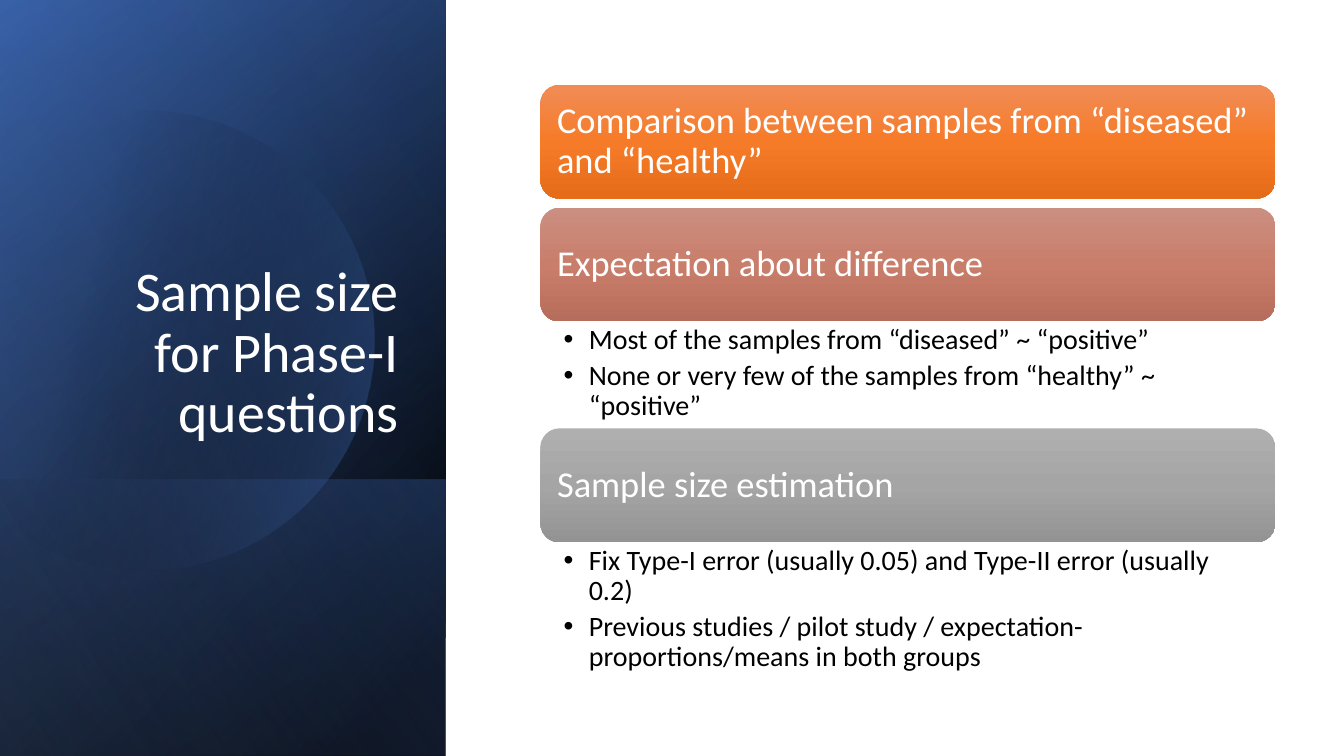
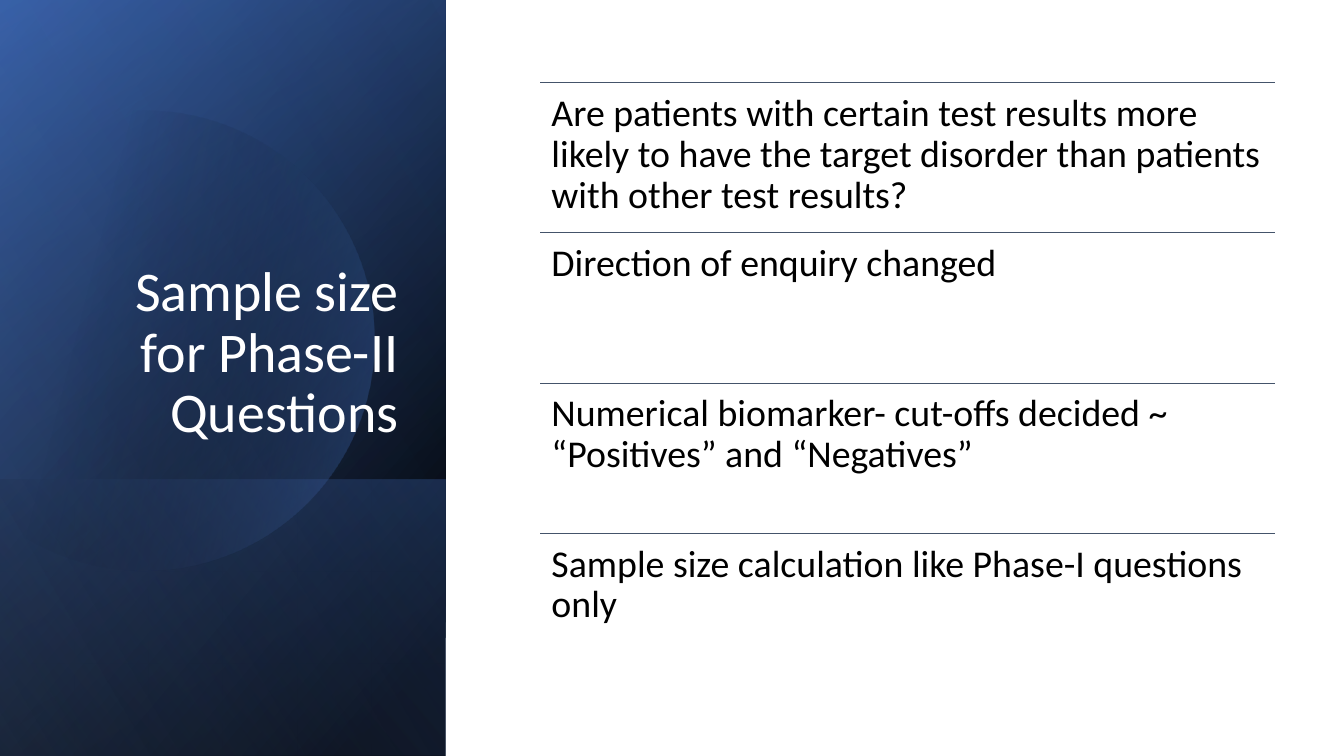
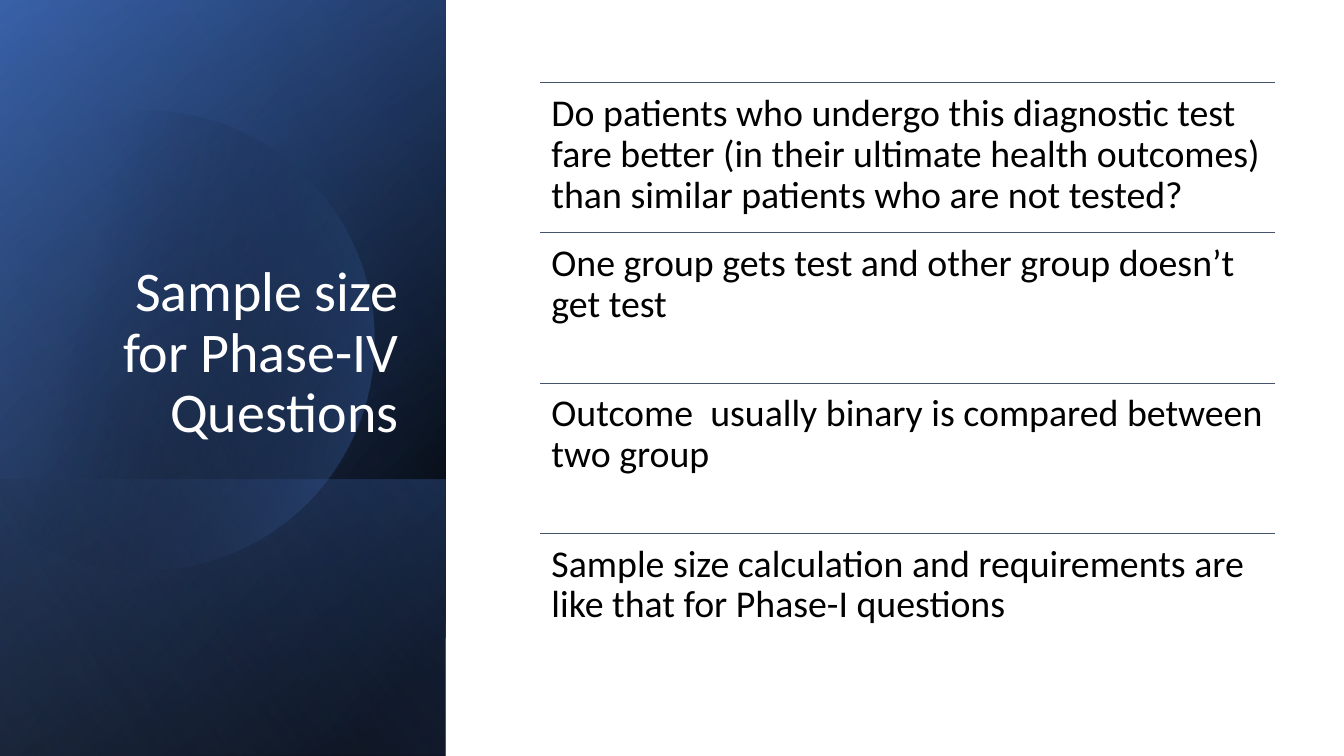
from math import acos, cos, sin

from lxml.etree import SubElement
from pptx import Presentation
from pptx.dml.color import RGBColor
from pptx.enum.shapes import MSO_CONNECTOR, MSO_SHAPE
from pptx.enum.text import MSO_ANCHOR, PP_ALIGN
from pptx.oxml.ns import qn
from pptx.util import Inches, Pt

# Content
TOPICS = [
    ("Comparison between samples from “diseased” and “healthy”", []),
    ("Expectation about difference", [
        "Most of the samples from “diseased” ~ “positive”",
        "None or very few of the samples from “healthy” ~ “positive”"]),
    ("Sample size estimation", [
        "Fix Type-I error (usually 0.05) and Type-II error (usually 0.2)",
        "Previous studies / pilot study / expectation- proportions/means in both groups"]),
]
PHASE_ONE = "Sample size for Phase-I questions"
RULED_SLIDES = [
    ("Sample size for Phase-II Questions", [
        "Are patients with certain test results more likely to have the target disorder "
        "than patients with other test results?",
        "Direction of enquiry changed",
        "Numerical biomarker- cut-offs decided ~ “Positives” and “Negatives”",
        "Sample size calculation like Phase-I questions only"]),
    ("Sample size for Phase-IV Questions", [
        "Do patients who undergo this diagnostic test fare better (in their ultimate "
        "health outcomes) than similar patients who are not tested?",
        "One group gets test and other group doesn’t get test",
        "Outcome  usually binary is compared between two group",
        "Sample size calculation and requirements are like that for Phase-I questions"]),
]

# Colours
BLACK = RGBColor(0x00, 0x00, 0x00)
WHITE = RGBColor(0xFF, 0xFF, 0xFF)
BLUE = RGBColor(0x44, 0x72, 0xC4)
DEEP_BLUE = RGBColor(0x2F, 0x55, 0x97)
PALE_BLUE = RGBColor(0x8F, 0xAA, 0xDC)
SLATE = RGBColor(0x44, 0x54, 0x6A)
BAR_COLOURS = [
    [RGBColor(0xF1, 0x8C, 0x57), RGBColor(0xF6, 0x7B, 0x28), RGBColor(0xE5, 0x6C, 0x19)],
    [RGBColor(0xCB, 0x8F, 0x81), RGBColor(0xC9, 0x7E, 0x6B), RGBColor(0xB7, 0x6D, 0x5B)],
    [RGBColor(0xAF, 0xAF, 0xAF), RGBColor(0xA5, 0xA5, 0xA5), RGBColor(0x93, 0x93, 0x93)],
]

# Layout, in inches
SLIDE_W, SLIDE_H = 13.33, 7.5
PANEL_W = 4.42
COLUMN_X, COLUMN_W = 5.36, 7.29
TITLE_BOX = (0.64, 1.84, 3.41, 2.62)
BAR_TOP, BAR_H, BAR_GAP = 0.84, 1.13, 0.09
BULLET_HEIGHTS = [0, 1.06, 1.38]
RULE_TOP, RULE_STEP = 0.82, 1.49
DISC_X, DISC_Y, DISC_R, DISC_CUT = 1.43, 3.38, 2.28, -0.15
DISC_STEPS = 120

# Panel layers: height up from the slide's foot, angle, stops (position, colour, opacity)
BASE_LAYERS = [
    (SLIDE_H, 50, [(8, BLACK, 100), (100, DEEP_BLUE, 100)]),
    (SLIDE_H, 30, [(0, BLACK, 0), (99, BLUE, 46)]),
    (2.74, 130, [(2, BLUE, 29), (100, BLACK, 30)]),
]
DISC_STOPS = [(29, BLACK, 0), (100, BLUE, 43)]
TOP_LAYER = (SLIDE_H, 120, [(0, BLACK, 0), (99, PALE_BLUE, 11)])

# Text formats: frame, paragraph and font values
MARGINS = ("margin_left", "margin_top", "margin_right", "margin_bottom")
EVEN = dict.fromkeys(MARGINS, Inches(0.11))
BULLET_INSETS = dict(zip(MARGINS, map(Inches, (0.23, 0.04, 0.2, 0.04))))
TITLE = ({"vertical_anchor": MSO_ANCHOR.BOTTOM}, {"alignment": PP_ALIGN.RIGHT}, 40, WHITE)
BAR = ({"vertical_anchor": MSO_ANCHOR.MIDDLE, **EVEN}, {"alignment": PP_ALIGN.LEFT}, 26, WHITE)
BULLETS = (BULLET_INSETS, {"space_after": Pt(4)}, 20, BLACK)
STATEMENT = (EVEN, {}, 27, BLACK)


def apply(target, values):
    for name, value in values.items():
        setattr(target, name, value)


def write(shape, texts, style, bulleted=False):
    frame_values, paragraph_values, size, colour = style
    frame = shape.text_frame
    apply(frame, {"word_wrap": True, **frame_values})
    for i, text in enumerate(texts):
        paragraph = frame.add_paragraph() if i else frame.paragraphs[0]
        apply(paragraph, {"text": text, "line_spacing": 0.9, **paragraph_values})
        apply(paragraph.runs[0].font, {"name": "Calibri", "size": Pt(size)})
        paragraph.runs[0].font.color.rgb = colour
        if bulleted:
            props = paragraph._p.get_or_add_pPr()
            props.set("marL", str(Inches(0.25)))
            props.set("indent", str(-Inches(0.25)))
            SubElement(props, qn("a:buFont")).set("typeface", "Arial")
            SubElement(props, qn("a:buChar")).set("char", "•")


def add_text(slide, box, texts, style, bulleted=False):
    write(slide.shapes.add_textbox(*map(Inches, box)), texts, style, bulleted)


def paint(shape, angle, stops):
    shape.shadow.inherit = False
    shape.line.fill.background()
    shape.fill.gradient()
    shape.fill.gradient_angle = 360 - angle
    stop_list = shape.element.spPr.find(qn("a:gradFill")).find(qn("a:gsLst"))
    for old in list(stop_list):
        stop_list.remove(old)
    for position, colour, opacity in stops:
        stop = SubElement(stop_list, qn("a:gs"), pos=str(position * 1000))
        tone = SubElement(stop, qn("a:srgbClr"), val=str(colour))
        if opacity < 100:
            SubElement(tone, qn("a:alpha"), val=str(opacity * 1000))


def add_layer(slide, height, angle, stops):
    # A quarter turn about the centre stands the mirrored rectangle upright
    left = (PANEL_W - height) / 2
    top = SLIDE_H - (height + PANEL_W) / 2
    layer = slide.shapes.add_shape(
        MSO_SHAPE.RECTANGLE, *map(Inches, (left, top, height, PANEL_W)))
    layer.rotation = 90
    layer.element.spPr.find(qn("a:xfrm")).set("flipH", "1")
    paint(layer, angle, stops)


def add_disc(slide):
    reach = acos((DISC_CUT - DISC_X) / DISC_R)
    angles = [reach * (2 * i / DISC_STEPS - 1) for i in range(DISC_STEPS + 1)]
    points = [(Inches(DISC_X + DISC_R * cos(a)), Inches(DISC_Y + DISC_R * sin(a)))
              for a in angles]
    outline = slide.shapes.build_freeform(*points[0])
    outline.add_line_segments(points[1:], close=True)
    paint(outline.convert_to_shape(), 14, DISC_STOPS)


def add_titled_slide(title):
    slide = deck.slides.add_slide(deck.slide_layouts[6])
    for layer in BASE_LAYERS:
        add_layer(slide, *layer)
    add_disc(slide)
    add_layer(slide, *TOP_LAYER)
    add_text(slide, TITLE_BOX, [title], TITLE)
    return slide


def add_rule(slide, y):
    rule = slide.shapes.add_connector(
        MSO_CONNECTOR.STRAIGHT,
        *map(Inches, (COLUMN_X, y, COLUMN_X + COLUMN_W, y)))
    rule.line.color.rgb = SLATE
    rule.line.width = Pt(0.5)
    SubElement(rule.element.spPr, qn("a:effectLst"))


deck = Presentation()
apply(deck, {"slide_width": Inches(SLIDE_W), "slide_height": Inches(SLIDE_H)})

# Phase I: stacked bars with bullets
slide = add_titled_slide(PHASE_ONE)
y = BAR_TOP
for (heading, points), colours, bullets_h in zip(TOPICS, BAR_COLOURS, BULLET_HEIGHTS):
    bar = slide.shapes.add_shape(
        MSO_SHAPE.ROUNDED_RECTANGLE, *map(Inches, (COLUMN_X, y, COLUMN_W, BAR_H)))
    paint(bar, 90, [(pos, colour, 100) for pos, colour in zip((0, 50, 100), colours)])
    write(bar, [heading], BAR)
    y += BAR_H
    if points:
        add_text(slide, (COLUMN_X, y, COLUMN_W, bullets_h), points, BULLETS, bulleted=True)
    y += bullets_h or BAR_GAP

# Phases II and IV: ruled statements
for title, statements in RULED_SLIDES:
    slide = add_titled_slide(title)
    for row, statement in enumerate(statements):
        y = RULE_TOP + row * RULE_STEP
        add_rule(slide, y)
        add_text(slide, (COLUMN_X, y, COLUMN_W, RULE_STEP), [statement], STATEMENT)

deck.save("out.pptx")
